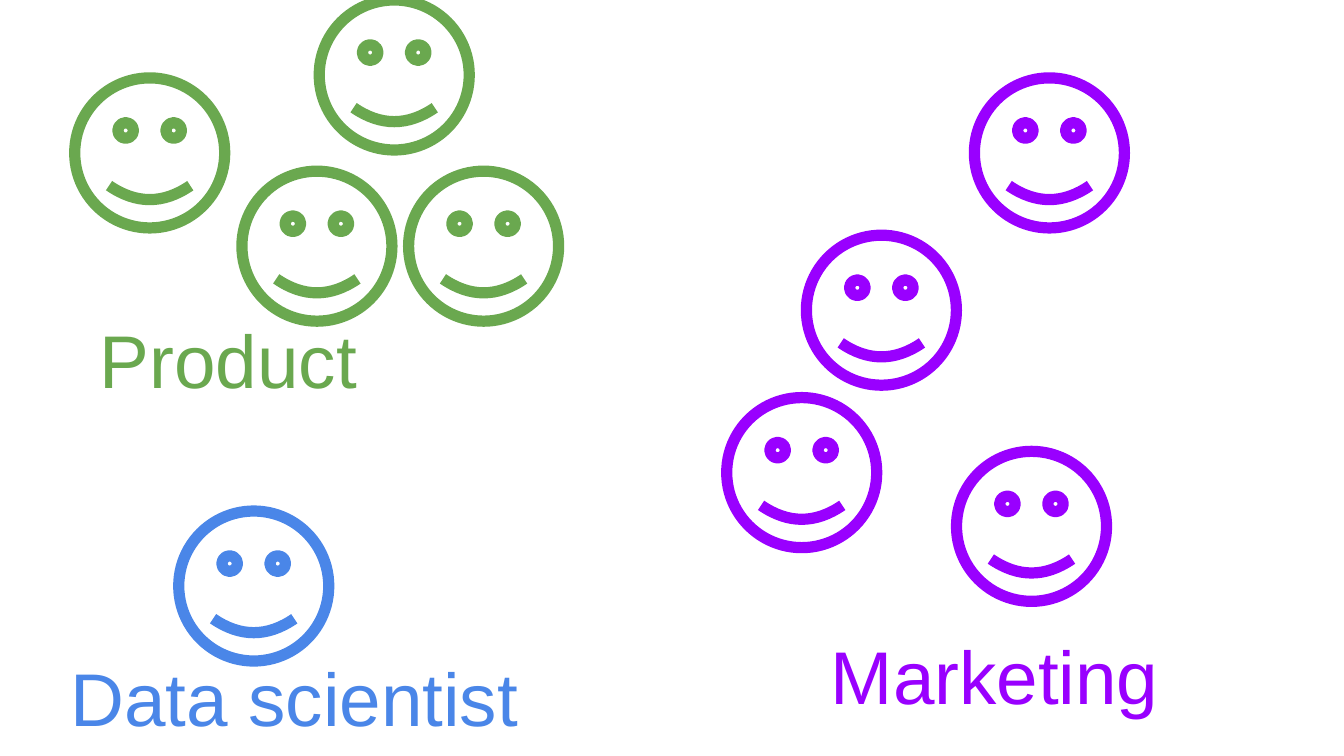
from pptx import Presentation
from pptx.dml.color import RGBColor
from pptx.enum.shapes import MSO_SHAPE
from pptx.enum.text import MSO_ANCHOR
from pptx.util import Inches, Pt

SMILEY = MSO_SHAPE.SMILEY_FACE
TOP = MSO_ANCHOR.TOP
WIDTH = Inches(10)
HEIGHT = WIDTH * 9 // 16
FACE_SIZE = 11.16
LABEL_SIZE = (66.9, 13.87)
COLORS = {"Marketing": "9900FF", "Product": "6AA84F", "Data scientist": "4A86E8"}
TEAMS = {
    "Marketing": {
        "label": (60.84, 81.6),
        "faces": [(60, 31.11), (71.17, 59.7), (72.5, 10.31), (54.07, 52.6)],
    },
    "Product": {
        "label": (6.44, 39.72),
        "faces": [(5.56, 10.31), (23.75, 0), (30.4, 22.64), (18, 22.64)],
    },
    "Data scientist": {"label": (4.24, 84.44), "faces": [(13.3, 67.6)]},
}


def across(percent):
    """Return a share of the slide width."""
    return round(WIDTH * percent / 100)


def down(percent):
    """Return a share of the slide height."""
    return round(HEIGHT * percent / 100)


def add_face(page, left, top, color):
    """Draw an unfilled smiling face with a thick outline."""
    size = across(FACE_SIZE)
    face = page.shapes.add_shape(SMILEY, across(left), down(top), size, size)
    face.shadow.inherit = False
    face.fill.background()
    face.line.color.rgb = color
    face.line.width = Pt(6)


def add_label(page, left, top, text, color):
    """Write a team name in its colour."""
    width, height = LABEL_SIZE
    box = page.shapes.add_textbox(across(left), down(top), across(width), down(height))
    frame = box.text_frame
    frame.word_wrap = True
    frame.vertical_anchor = TOP
    frame.margin_left = frame.margin_right = Inches(0.1)
    frame.margin_top = frame.margin_bottom = Inches(0.1)
    span = frame.paragraphs[0].add_run()
    span.text = text
    span.font.name = "Arial"
    span.font.size = Pt(40)
    span.font.color.rgb = color


def main():
    """Build the slide of teams and save it."""
    deck = Presentation()
    deck.slide_width, deck.slide_height = WIDTH, HEIGHT
    page = deck.slides.add_slide(deck.slide_layouts[6])
    for name, team in TEAMS.items():
        color = RGBColor.from_string(COLORS[name])
        for left, top in team["faces"]:
            add_face(page, left, top, color)
        add_label(page, *team["label"], name, color)
    deck.save("out.pptx")


if __name__ == "__main__":
    main()
